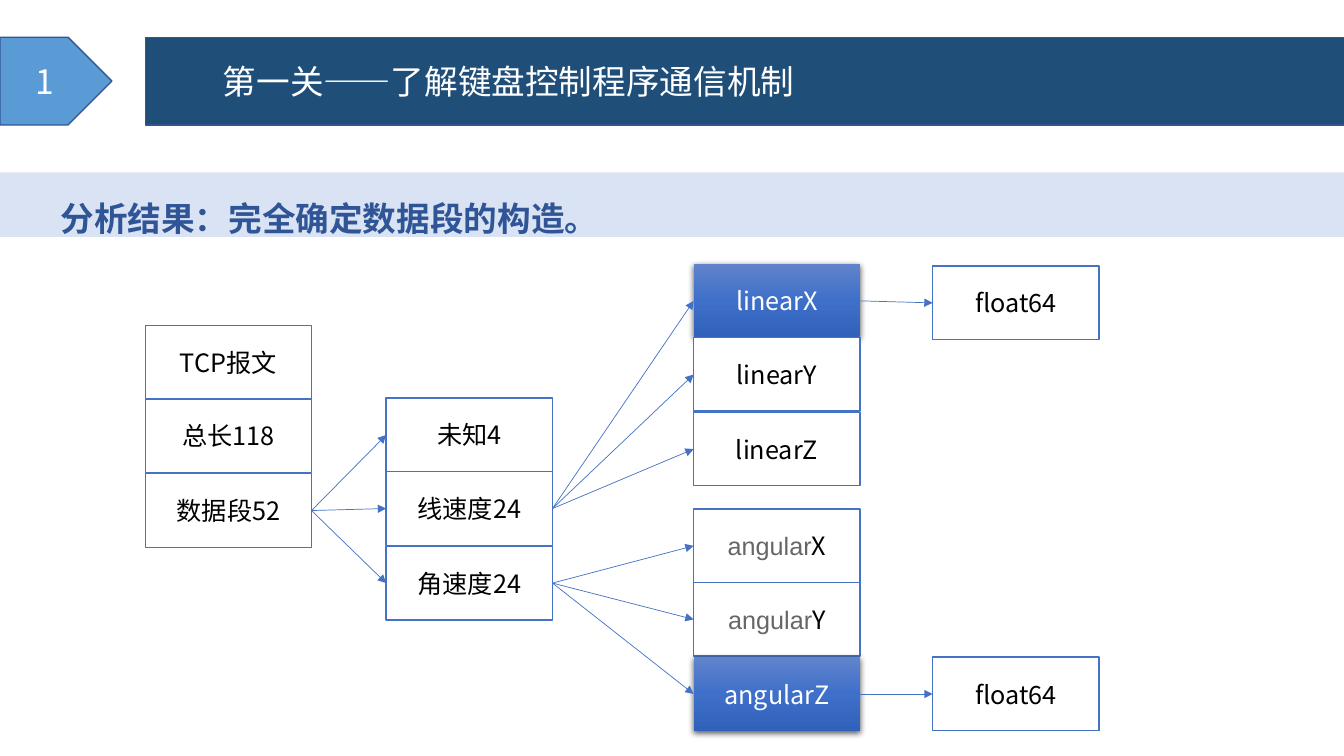
from copy import deepcopy
from dataclasses import dataclass
from typing import NamedTuple

from lxml.etree import SubElement
from pptx import Presentation
from pptx.dml.color import RGBColor as RGB
from pptx.enum.shapes import MSO_CONNECTOR as CONN, MSO_SHAPE as SHAPE
from pptx.enum.text import MSO_ANCHOR as ANCHOR, MSO_AUTO_SIZE as AUTO, PP_ALIGN as ALIGN
from pptx.oxml.ns import qn
from pptx.util import Pt

SCALE = 9144  # EMU per px, 100 px to the inch
CELL_W, CELL_H = 165, 73
TOP, RIGHT_SIDE, LEFT_SIDE = 0, 3, 1


@dataclass(frozen=True)
class Theme:
    font: str = "Noto Sans CJK SC"
    latin: str = "Arial"
    heading_size: int = 24
    cell_size: int = 18
    white: str = "FFFFFF"
    black: str = "000000"
    gray: str = "666666"
    line: str = "4472C4"
    tag: str = "5B9BD5"
    banner: str = "1F4E79"
    banner_line: str = "325491"
    band: str = "DAE3F3"
    band_text: str = "2F5597"
    gradient: tuple = ((0, "6183CB"), (0.5, "3E70CA"), (1, "3062BB"))


THEME = Theme()


class Run(NamedTuple):
    text: str
    color: str = THEME.black
    font: str = THEME.font


class Cell(NamedTuple):
    key: str
    runs: tuple
    strong: bool = False


class Stack(NamedTuple):
    left: int
    top: int
    cells: tuple


class Link(NamedTuple):
    source: str
    targets: tuple


def plain(text: str) -> Cell:
    return Cell(text, (Run(text),))


def strong(text: str) -> Cell:
    return Cell(text, (Run(text, THEME.white),), True)


def angular(axis: str) -> Cell:
    return Cell("angular" + axis, (Run("angular", THEME.gray, THEME.latin), Run(axis)))


# Message fields, column by column
STACKS = (
    Stack(144, 323, (plain("TCP报文"), plain("总长118"), plain("数据段52"))),
    Stack(383, 395, (plain("未知4"), plain("线速度24"), plain("角速度24"))),
    Stack(688, 262, (strong("linearX"), plain("linearY"), plain("linearZ"))),
    Stack(688, 505, (angular("X"), angular("Y"), strong("angularZ"))),
    Stack(925, 264, (Cell("typeX", (Run("float64"),)),)),
    Stack(925, 652, (Cell("typeZ", (Run("float64"),)),)),
)
LINKS = (
    Link("数据段52", ("未知4", "线速度24", "角速度24")),
    Link("线速度24", ("linearX", "linearY", "linearZ")),
    Link("角速度24", ("angularX", "angularY", "angularZ")),
    Link("linearX", ("typeX",)),
    Link("angularZ", ("typeZ",)),
)


def place(sp, left: int, top: int, width: int, height: int) -> None:
    sp.left, sp.top = left * SCALE, top * SCALE
    sp.width, sp.height = width * SCALE, height * SCALE


def write(sp, runs: tuple, *, size: int, align=ALIGN.CENTER, anchor=ANCHOR.MIDDLE,
          bold: bool = False, spacing: float = 1.0):
    tf = sp.text_frame
    tf.word_wrap, tf.auto_size, tf.vertical_anchor = True, AUTO.NONE, anchor
    p = tf.paragraphs[0]
    p.alignment, p.line_spacing, p.space_before = align, spacing, Pt(0)
    for run in runs:
        r = p.add_run()
        r.text = run.text
        r.font.name, r.font.size, r.font.bold = run.font, Pt(size), bold
        r.font.color.rgb = RGB.from_string(run.color)
        SubElement(r.font._element, qn("a:ea"), typeface=run.font)
    return p


def paint(sp, fill: str, line: str = "") -> None:
    sp.fill.solid()
    sp.fill.fore_color.rgb = RGB.from_string(fill)
    if line:
        sp.line.color.rgb = RGB.from_string(line)
        sp.line.width = Pt(1)


def paint_strong(sp) -> None:
    """Gradient fill with a soft shadow below."""
    sp.fill.gradient()
    sp.fill.gradient_angle = 270
    stops = sp._element.spPr.find(".//" + qn("a:gsLst"))
    stops.append(deepcopy(stops[-1]))
    for stop, (position, color) in zip(sp.fill.gradient_stops, THEME.gradient):
        stop.position = position
        stop.color.rgb = RGB.from_string(color)
    sp.line.fill.background()
    effects = sp._element.spPr.find(qn("a:effectLst"))
    shadow = SubElement(effects, qn("a:outerShdw"), blurRad=str(Pt(4.5)),
                        dist=str(Pt(1.5)), dir="5400000", rotWithShape="0")
    color = SubElement(shadow, qn("a:srgbClr"), val=THEME.black)
    SubElement(color, qn("a:alpha"), val="63000")


def add_shape(slide, kind, left: int, top: int, width: int, height: int):
    sp = slide.shapes.add_shape(kind, 0, 0, 0, 0)
    place(sp, left, top, width, height)
    sp.shadow.inherit = False
    return sp


def add_arrow(slide, source, target) -> None:
    line = slide.shapes.add_connector(CONN.STRAIGHT, 0, 0, 0, 0)
    line.begin_connect(source, RIGHT_SIDE)
    line.end_connect(target, LEFT_SIDE)
    line.line.color.rgb = RGB.from_string(THEME.line)
    line.line.width = Pt(0.5)
    SubElement(line.line._get_or_add_ln(), qn("a:tailEnd"), type="triangle")
    SubElement(line._element.spPr, qn("a:effectLst"))


def add_headings(slide) -> None:
    title, body = slide.shapes.title, slide.placeholders[1]

    # Band with the finding
    place(body, 0, 171, 1333, 64)
    paint(body, THEME.band)
    p = write(body, (Run("分析结果：完全确定数据段的构造。", THEME.band_text),),
              size=THEME.heading_size, align=ALIGN.LEFT, anchor=ANCHOR.TOP,
              bold=True, spacing=1.5)
    pPr = p._p.get_or_add_pPr()
    pPr.set("marL", "0")
    pPr.set("indent", str(50 * SCALE))
    SubElement(pPr, qn("a:buNone"))

    # Section number
    tag = add_shape(slide, SHAPE.PENTAGON, 0, 37, 111, 87)
    paint(tag, THEME.tag, THEME.banner_line)
    write(tag, (Run("1", THEME.white),), size=THEME.heading_size)

    # Title banner, pointing left
    place(title, 144, 37, 1190, 87)
    xfrm = title._element.spPr.get_or_add_xfrm()
    xfrm.set("flipH", "1")
    geom = SubElement(title._element.spPr, qn("a:prstGeom"), prst="homePlate")
    SubElement(geom, qn("a:avLst"))
    paint(title, THEME.banner, THEME.banner_line)
    write(title, (Run("第一关——了解键盘控制程序通信机制", THEME.white),),
          size=THEME.heading_size, align=ALIGN.LEFT)
    title.text_frame.margin_left = 77 * SCALE


def add_diagram(slide) -> None:
    boxes = {}
    for stack in STACKS:
        for i, cell in enumerate(stack.cells):
            # Rows are 73.5 px apart
            sp = add_shape(slide, SHAPE.RECTANGLE, stack.left,
                           stack.top + i * 147 // 2, CELL_W, CELL_H)
            if cell.strong:
                paint_strong(sp)
            else:
                paint(sp, THEME.white, THEME.line)
            write(sp, cell.runs, size=THEME.cell_size)
            boxes[cell.key] = sp
    for link in LINKS:
        for target in link.targets:
            add_arrow(slide, boxes[link.source], boxes[target])


def main() -> None:
    prs = Presentation()
    prs.slide_width, prs.slide_height = 1333 * SCALE, 750 * SCALE
    slide = prs.slides.add_slide(prs.slide_layouts[1])
    add_headings(slide)
    add_diagram(slide)
    prs.save("out.pptx")


if __name__ == "__main__":
    main()
